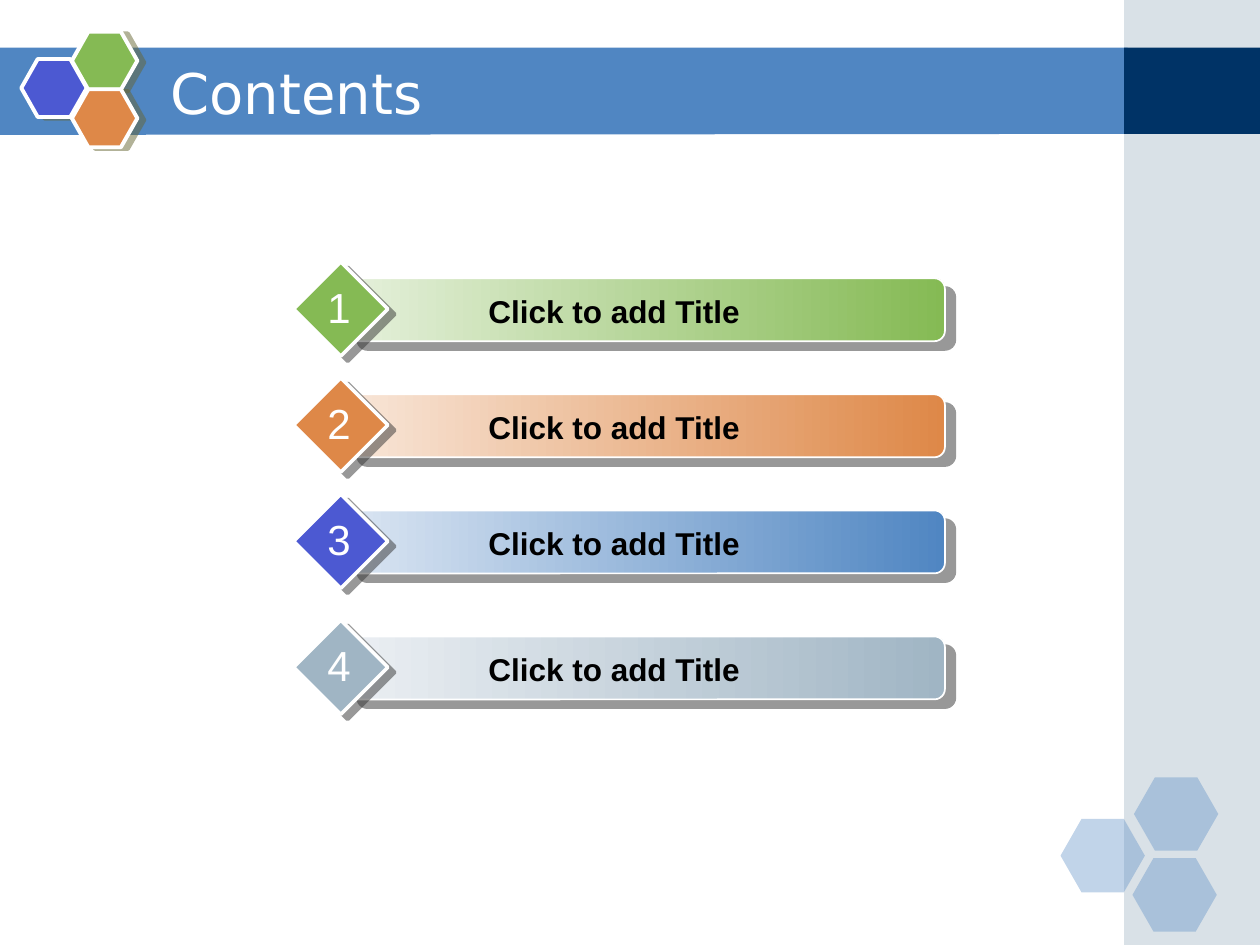
import dataclasses
import typing

import lxml.etree
import pptx
import pptx.dml.color
import pptx.enum.shapes
import pptx.enum.text
import pptx.oxml.ns
import pptx.util

Cm = pptx.util.Cm
Pt = pptx.util.Pt
SHAPE = pptx.enum.shapes.MSO_SHAPE
ALIGN = pptx.enum.text.PP_ALIGN
ANCHOR = pptx.enum.text.MSO_ANCHOR
qn = pptx.oxml.ns.qn

COLORS = {
    "white": "FFFFFF", "black": "000000", "blue": "5086C2", "navy": "003366",
    "gray": "A0B5C4", "indigo": "4C59D2", "green": "85BA54", "orange": "DE8848",
    "pale green": "E5F0DB", "pale orange": "F8E6D8", "pale blue": "DAE5F2",
    "pale gray": "EBEFF3", "olive": "666633", "charcoal": "333333",
}
TITLE_FONT = {"name": "DejaVu Sans", "size": Pt(32), "bold": False}
LABEL_FONT = {"name": "Arial", "size": Pt(18), "bold": True}
NUMBER_FONT = {"name": "Arial", "size": Pt(24), "bold": False}


@dataclasses.dataclass(frozen=True)
class Box:
    """Position and size in centimetres."""
    left: float
    top: float
    width: float
    height: float

    def lengths(self) -> tuple:
        return tuple(Cm(value) for value in dataclasses.astuple(self))


@dataclasses.dataclass(frozen=True)
class Shadow:
    color: str
    distance: float
    angle: int


@dataclasses.dataclass(frozen=True)
class Hexagon:
    left: float
    top: float
    color: str


@dataclasses.dataclass(frozen=True)
class Entry:
    top: float
    text: str
    marker: str
    bar_start: str
    bar_end: str


HEXAGON_SHADOW = Shadow("olive", 4.1, 14)
BAR_SHADOW = Shadow("charcoal", 7.8, 40)
DIAMOND_SHADOW = Shadow("charcoal", 5, 37)

CORNER_HEXAGONS = [
    Hexagon(21.38, 16.51, "blue"),
    Hexagon(22.86, 15.67, "blue"),
    Hexagon(22.83, 17.3, "blue"),
]
EMBLEM_HEXAGONS = [
    Hexagon(0.43, 1.19, "indigo"),
    Hexagon(1.45, 0.64, "green"),
    Hexagon(1.45, 1.8, "orange"),
]
ENTRIES = [
    Entry(5.28, "Click to add Title", "green", "pale green", "green"),
    Entry(7.62, "Click to add Title", "orange", "pale orange", "orange"),
    Entry(9.96, "Click to add Title", "indigo", "pale blue", "blue"),
    Entry(12.5, "Click to add Title", "gray", "pale gray", "gray"),
]


def rgb(name: str) -> pptx.dml.color.RGBColor:
    return pptx.dml.color.RGBColor.from_string(COLORS[name])


def add_alpha(color_element, percent: int) -> None:
    alpha = lxml.etree.SubElement(color_element, qn("a:alpha"))
    alpha.set("val", str(percent * 1000))


def add_shadow(shape, shadow: Shadow) -> None:
    effects = shape.element.spPr.find(qn("a:effectLst"))
    outer = lxml.etree.SubElement(effects, qn("a:outerShdw"))
    outer.set("dist", str(int(Pt(shadow.distance))))
    outer.set("dir", str(shadow.angle * 60000))
    outer.set("rotWithShape", "0")
    color = lxml.etree.SubElement(outer, qn("a:srgbClr"))
    color.set("val", COLORS[shadow.color])
    add_alpha(color, 50)


def draw_shape(shapes, kind, box: Box, fill: str, opacity: int = 100,
               outline: float = 0, shadow: typing.Optional[Shadow] = None,
               adjustment: typing.Optional[float] = None):
    shape = shapes.add_shape(kind, *box.lengths())
    shape.shadow.inherit = False
    shape.fill.solid()
    shape.fill.fore_color.rgb = rgb(fill)
    if opacity < 100:
        add_alpha(shape.element.spPr.find(".//" + qn("a:srgbClr")), opacity)
    if outline:
        shape.line.color.rgb = rgb("white")
        shape.line.width = Pt(outline)
    else:
        shape.line.fill.background()
    if shadow:
        add_shadow(shape, shadow)
    if adjustment is not None:
        shape.adjustments[0] = adjustment
    return shape


def write(shape, text: str, color: str, font: dict, alignment) -> None:
    shape.text_frame.text = text
    paragraph = shape.text_frame.paragraphs[0]
    paragraph.alignment = alignment
    run_font = paragraph.runs[0].font
    for attribute, value in font.items():
        setattr(run_font, attribute, value)
    run_font.color.rgb = rgb(color)


def draw_text(shapes, box: Box, text: str, color: str, font: dict, wrap: bool) -> None:
    text_box = shapes.add_textbox(*box.lengths())
    text_box.text_frame.word_wrap = wrap
    write(text_box, text, color, font, ALIGN.CENTER)


def draw_band(shapes) -> None:
    builder = shapes.build_freeform(Cm(-0.03), Cm(0.96))
    corners = [(22.73, 0.96), (22.73, 2.7), (-0.03, 2.72)]
    builder.add_line_segments([(Cm(x), Cm(y)) for x, y in corners], close=True)
    band = builder.convert_to_shape()
    band.shadow.inherit = False
    band.fill.solid()
    band.fill.fore_color.rgb = rgb("blue")
    band.line.fill.background()


def draw_entry(shapes, number: int, entry: Entry) -> None:
    bar = draw_shape(shapes, SHAPE.ROUNDED_RECTANGLE, Box(6.99, entry.top + 0.33, 12.06, 1.27),
                     entry.bar_end, outline=1, shadow=BAR_SHADOW, adjustment=0.167)
    bar.fill.gradient()
    bar.fill.gradient_angle = 0
    for stop, color in zip(bar.fill.gradient_stops, (entry.bar_start, entry.bar_end)):
        stop.color.rgb = rgb(color)
    draw_shape(shapes, SHAPE.DIAMOND, Box(5.92, entry.top, 1.9, 1.9),
               entry.marker, outline=2, shadow=DIAMOND_SHADOW)
    draw_text(shapes, Box(7.62, entry.top + 0.48, 9.52, 1.02),
              entry.text, "black", LABEL_FONT, wrap=True)
    draw_text(shapes, Box(6.35, entry.top + 0.27, 0.97, 1.27),
              str(number), "white", NUMBER_FONT, wrap=False)


def place_title(slide, text: str) -> None:
    title = slide.shapes.title
    title.left, title.top, title.width, title.height = Box(3.18, 1.07, 18.62, 1.57).lengths()
    title.text_frame.vertical_anchor = ANCHOR.MIDDLE
    write(title, text, "white", TITLE_FONT, ALIGN.LEFT)
    # Bring the title in front of the band.
    title.element.getparent().append(title.element)


def main() -> None:
    presentation = pptx.Presentation()
    presentation.slide_width, presentation.slide_height = Cm(25.4), Cm(19.05)
    slide = presentation.slides.add_slide(presentation.slide_layouts[5])
    shapes = slide.shapes

    draw_band(shapes)
    draw_shape(shapes, SHAPE.RECTANGLE, Box(22.66, 0, 2.74, 19.05), "gray", opacity=40)
    draw_shape(shapes, SHAPE.RECTANGLE, Box(22.66, 0.96, 2.74, 1.74), "navy")
    for hexagon in CORNER_HEXAGONS:
        draw_shape(shapes, SHAPE.HEXAGON, Box(hexagon.left, hexagon.top, 1.7, 1.48),
                   hexagon.color, opacity=35, adjustment=0.286)
    emblem = shapes.add_group_shape().shapes
    for hexagon in EMBLEM_HEXAGONS:
        draw_shape(emblem, SHAPE.HEXAGON, Box(hexagon.left, hexagon.top, 1.32, 1.17),
                   hexagon.color, outline=2.25, shadow=HEXAGON_SHADOW, adjustment=0.283)
    place_title(slide, "Contents")
    for number, entry in enumerate(ENTRIES, start=1):
        draw_entry(shapes.add_group_shape().shapes, number, entry)

    presentation.save("out.pptx")


if __name__ == "__main__":
    main()
